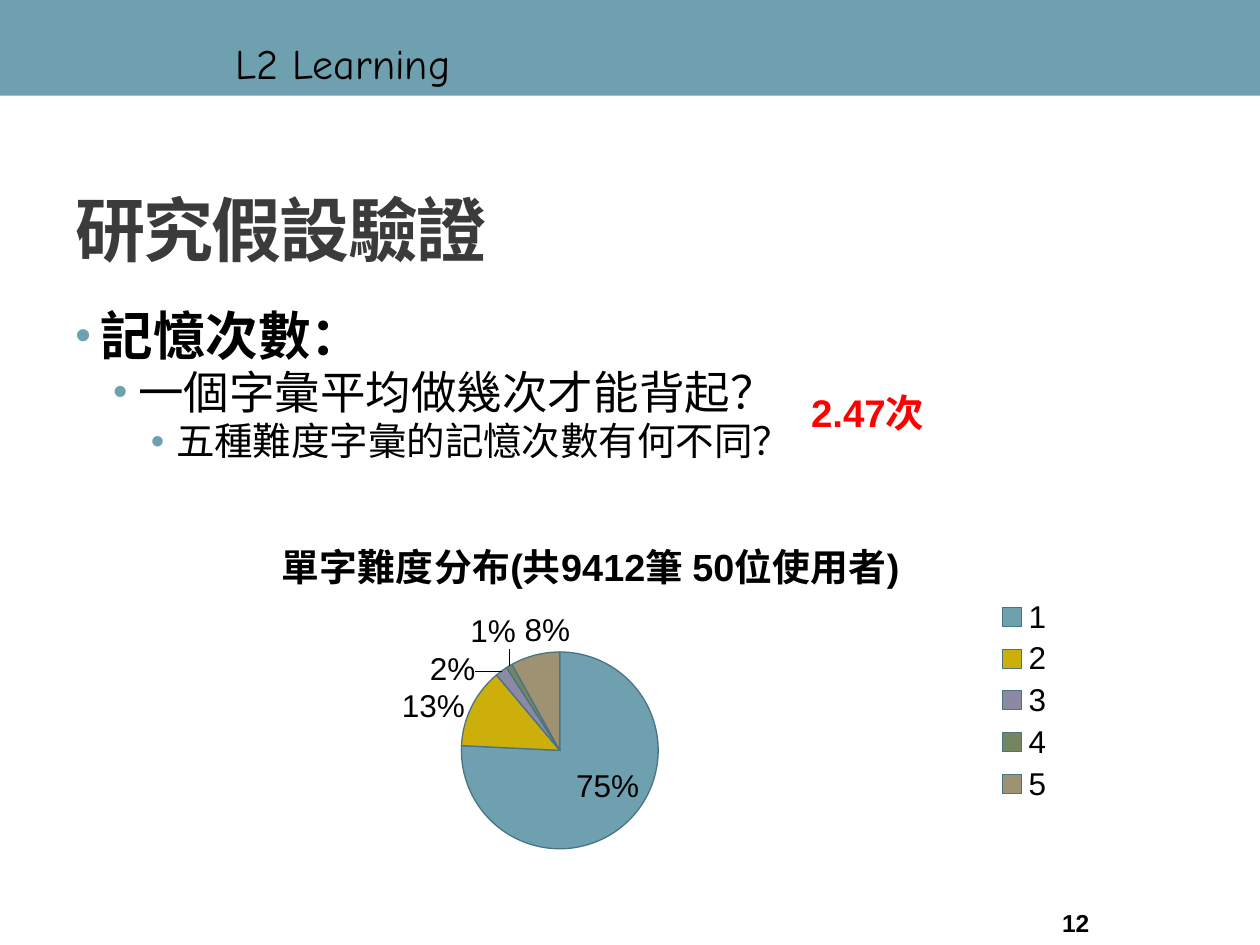
from lxml.etree import SubElement
from pptx import Presentation
from pptx.chart.data import CategoryChartData
from pptx.dml.color import RGBColor
from pptx.enum.chart import XL_CHART_TYPE as ChartType
from pptx.enum.chart import XL_LABEL_POSITION as LabelPosition
from pptx.enum.chart import XL_LEGEND_POSITION as LegendPosition
from pptx.enum.shapes import MSO_SHAPE as Shape
from pptx.enum.text import MSO_ANCHOR as Anchor
from pptx.oxml.ns import qn
from pptx.util import Cm, Pt

COLORS = {"band": "6EA0B0", "text": "000000", "title": "3B3B3B",
          "answer": "FF0000", "edge": "4A7384"}
LATIN, CJK, HEADER = "Arial", "Noto Sans CJK SC", "Comic Neue"

# text, (left, top, width, height) in cm, font, size, colour, bold, anchor
LABELS = [
    ("L2 Learning", (4.5, 0.64, 7.59, 1.27), HEADER, 24, "text", False, Anchor.TOP),
    ("12", (21.16, 18.14, 2.97, 0.91), LATIN, 14, "text", True, Anchor.MIDDLE),
    ("研究假設驗證", (1.27, 3.12, 22.86, 2.97), CJK, 40, "title", True, Anchor.MIDDLE),
    ("2.47次", (16.1, 7.72, 7.19, 1.19), LATIN, 22, "answer", True, Anchor.TOP),
]
# text, size, bold, bullet size in percent
BULLETS = [
    ("記憶次數：", 30, True, 85),
    ("一個字彙平均做幾次才能背起？", 26, False, 90),
    ("五種難度字彙的記憶次數有何不同？", 22, False, 100),
]
CHART_TITLE = "單字難度分布(共9412筆 50位使用者)"
# category, percent, colour
SLICES = [("1", 75, "6EA0B0"), ("2", 13, "CCAF0A"), ("3", 2, "8D89A4"),
          ("4", 1, "748560"), ("5", 8, "9E9273")]
PIE_LAYOUT = {"x": 0.364, "y": 0.372, "w": 0.207, "h": 0.521}


def rgb(name):
    return RGBColor.from_string(COLORS.get(name, name))


def style(font, name, size, color="text", bold=False):
    font.name, font.size, font.bold = name, Pt(size), bold
    font.color.rgb = rgb(color)
    SubElement(font._rPr, qn("a:ea"), typeface=CJK)


def add_text_frame(page, place, anchor=Anchor.TOP):
    frame = page.shapes.add_textbox(*map(Cm, place)).text_frame
    frame.word_wrap = True
    frame.vertical_anchor = anchor
    return frame


def add_bullet(para, level, percent):
    props = para._p.get_or_add_pPr()
    props.set("marL", str(Cm(0.51 + 0.76 * level)))
    props.set("indent", str(-Cm(0.51)))
    color = SubElement(props, qn("a:buClr"))
    SubElement(color, qn("a:srgbClr"), val=COLORS["band"])
    SubElement(props, qn("a:buSzPct"), val=str(percent * 1000))
    SubElement(props, qn("a:buFont"), typeface=LATIN)
    SubElement(props, qn("a:buChar"), char="•")


def add_band(page, width):
    band = page.shapes.add_shape(Shape.RECTANGLE, 0, 0, width, Cm(1.93))
    band.shadow.inherit = False
    band.fill.solid()
    band.fill.fore_color.rgb = rgb("band")
    band.line.fill.background()


def add_labels(page):
    for text, place, name, size, color, bold, anchor in LABELS:
        para = add_text_frame(page, place, anchor).paragraphs[0]
        para.text = text
        style(para.font, name, size, color, bold)
        if color == "title":
            para.font._rPr.set("spc", "-100")


def add_bullets(page):
    frame = add_text_frame(page, (1.27, 6.12, 22.86, 11.86))
    for level, (text, size, bold, percent) in enumerate(BULLETS):
        para = frame.add_paragraph() if level else frame.paragraphs[0]
        para.text = text
        para.level = level
        para.line_spacing = 0.9
        para.space_before = Pt(2 if level else 0)
        add_bullet(para, level, percent)
        style(para.font, CJK, size, bold=bold)


def add_pie(page):
    data = CategoryChartData()
    data.categories = [category for category, _, _ in SLICES]
    data.add_series("Series 1", [value for _, value, _ in SLICES])
    place = map(Cm, (2.31, 10.31, 19.2, 7.62))
    chart = page.shapes.add_chart(ChartType.PIE, *place, data).chart
    style(chart.font, LATIN, 18)

    chart.has_title = True
    title = chart.chart_title
    title.include_in_layout = False
    span = title.text_frame.paragraphs[0].add_run()
    span.text = CHART_TITLE
    style(span.font, LATIN, 21.6, bold=True)

    chart.has_legend = True
    chart.legend.position = LegendPosition.RIGHT
    chart.legend.include_in_layout = False

    plot = chart.plots[0]
    plot.vary_by_categories = True
    for index, (_, _, color) in enumerate(SLICES):
        look = plot.series[0].points[index].format
        look.fill.solid()
        look.fill.fore_color.rgb = rgb(color)
        look.line.color.rgb = rgb("edge")
        look.line.width = Pt(0.75)

    plot.has_data_labels = True
    labels = plot.data_labels
    labels.show_value = True
    labels.show_percentage = False
    labels.number_format = '0"%"'
    labels.number_format_is_linked = False
    labels.position = LabelPosition.BEST_FIT
    style(labels.font, LATIN, 18)
    place_pie(chart)


def place_pie(chart):
    area = chart._chartSpace.chart.plotArea
    for old in area.findall(qn("c:layout")):
        area.remove(old)
    layout = SubElement(area, qn("c:layout"))
    area.insert(0, layout)
    manual = SubElement(layout, qn("c:manualLayout"))
    SubElement(manual, qn("c:layoutTarget"), val="inner")
    for key in "xy":
        SubElement(manual, qn(f"c:{key}Mode"), val="edge")
    for key, value in PIE_LAYOUT.items():
        SubElement(manual, qn(f"c:{key}"), val=str(value))


def main():
    deck = Presentation()
    deck.slide_width, deck.slide_height = Cm(25.4), Cm(19.05)
    page = deck.slides.add_slide(deck.slide_layouts[6])
    add_band(page, deck.slide_width)
    add_bullets(page)
    add_labels(page)
    add_pie(page)
    deck.save("out.pptx")


if __name__ == "__main__":
    main()
